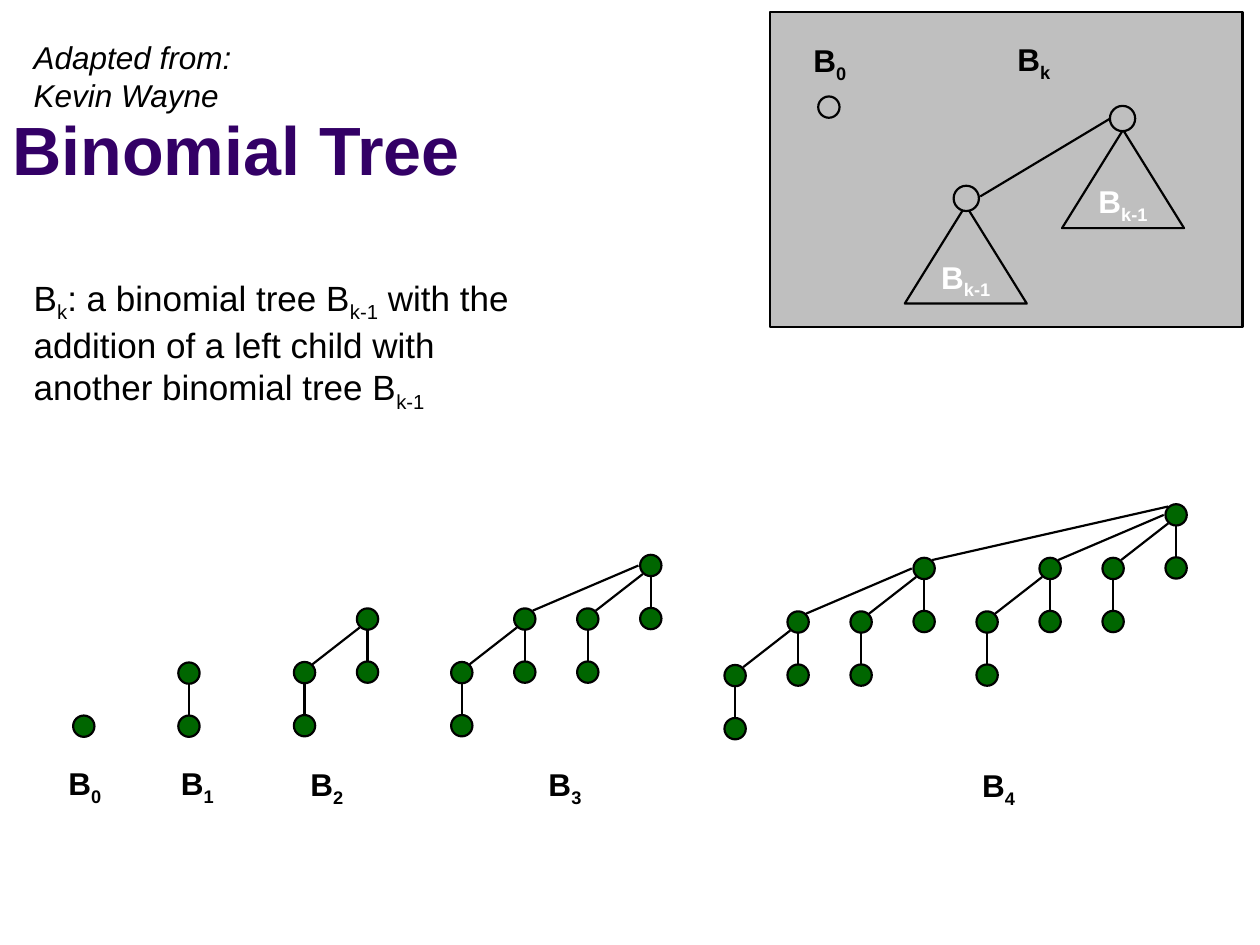
from dataclasses import dataclass
from lxml import etree
from pptx import Presentation
from pptx import util as u
from pptx.dml.color import RGBColor
from pptx.enum import shapes, text
from pptx.oxml.ns import qn


@dataclass(frozen=True)
class Theme:
    font: str = "Arial"
    title: str = "330066"
    ink: str = "000000"
    light: str = "FFFFFF"
    panel: str = "BFBFBF"
    node: str = "006600"
    title_size: int = 39
    body_size: int = 20
    label_size: int = 18
    line_width: float = 1.25


THEME = Theme()
TITLE = ["Binomial Tree"]
CREDIT = ["Adapted from: Kevin Wayne"]
DEFINITION = ["B", "k", ": a binomial tree B", "k-1",
              " with the addition of a left child with another binomial tree B", "k-1"]

TREES = [
    {"order": 0, "root": (1.69, 14.64), "label": (1.71, 15.27)},
    {"order": 1, "root": (3.81, 13.57), "label": (3.98, 15.27)},
    {"order": 2, "root": (7.41, 12.48), "label": (6.59, 15.29)},
    {"order": 3, "root": (13.12, 11.4), "label": (11.39, 15.29)},
    {"order": 4, "root": (23.71, 10.38), "label": (20.13, 15.32)},
]
COLUMN_GAP, ROW_GAP, LEAF_DROP, NODE = 1.27, 1.08, 1.07, 0.43
EDGE_ENDS = {1: (-0.16, 0.17), 2: (-0.25, 0), 4: (-0.16, -0.17)}

PANEL = (15.52, 0.25, 9.53, 6.35)
SUBTREES = [(18.24, 4.14), (21.41, 2.62)]
SUBTREE_SIZE = (2.46, 1.98)
PANEL_EDGES = [(19.3, 4.17, 19.48, 4.11), (19.76, 3.96, 22.38, 2.39)]
PANEL_NODES = [(19.48, 4, 0.51), (22.63, 2.39, 0.51), (16.71, 2.16, 0.43)]
PANEL_LABELS = [("0", 16.73, 0.71), ("k", 20.84, 0.69)]
LABEL_SIZE = (1.75, 1.02)

prs = Presentation()
prs.slide_width, prs.slide_height = u.Cm(25.4), u.Cm(19.05)
slide = prs.slides.add_slide(prs.slide_layouts[6])


def write(frame, parts, size, color=THEME.ink, bold=False, italic=False, centred=False):
    line = frame.paragraphs[0]
    line.alignment = text.PP_ALIGN.CENTER if centred else text.PP_ALIGN.LEFT
    font = line.font
    font.name, font.size, font.bold, font.italic = THEME.font, u.Pt(size), bold, italic
    font.color.rgb = RGBColor.from_string(color)
    for index, part in enumerate(parts):
        run = line.add_run()
        run.text = part
        if index % 2:
            run._r.get_or_add_rPr().set("baseline", "-25000")


def add_text(box, parts, size, anchor=text.MSO_ANCHOR.TOP, **style):
    frame = slide.shapes.add_textbox(*map(u.Cm, box)).text_frame
    frame.word_wrap = True
    frame.vertical_anchor = anchor
    write(frame, parts, size, **style)


def add_label(subscript, centre, top):
    width, height = LABEL_SIZE
    add_text((centre - width / 2, top, width, height), ["B", subscript],
             THEME.label_size, bold=True, centred=True)


def add_outline(kind, box, fill):
    outline = slide.shapes.add_shape(kind, *map(u.Cm, box))
    outline.shadow.inherit = False
    outline.fill.solid()
    outline.fill.fore_color.rgb = RGBColor.from_string(fill)
    outline.line.color.rgb = RGBColor.from_string(THEME.ink)
    outline.line.width = u.Pt(THEME.line_width)
    return outline


def add_node(x, y, size=NODE, fill=THEME.node):
    add_outline(shapes.MSO_SHAPE.OVAL, (x - size / 2, y - size / 2, size, size), fill)


def add_edge(*ends):
    edge = slide.shapes.add_connector(shapes.MSO_CONNECTOR.STRAIGHT, *map(u.Cm, ends))
    edge.line.color.rgb = RGBColor.from_string(THEME.ink)
    edge.line.width = u.Pt(THEME.line_width)
    etree.SubElement(edge._element.spPr, qn("a:effectLst"))


def add_tree(order, root, label):
    add_label(str(order), *label)
    if order == 0:
        add_node(*root)
        return
    x, y = root
    columns = [(x - COLUMN_GAP * j, y + ROW_GAP * bin(j).count("1"))
               for j in range(2 ** (order - 1))]
    for j, (cx, cy) in enumerate(columns):
        add_node(cx, cy)
        add_node(cx, cy + LEAF_DROP)
        add_edge(cx, cy + LEAF_DROP - NODE / 2, cx, cy + NODE / 2)
        if j:
            parent = j & (j - 1)
            px, py = columns[parent]
            dx, dy = EDGE_ENDS[j - parent]
            add_edge(cx + 0.16, cy - 0.17, px + dx, py + dy)


add_text((0, 0.33, 20.96, 3.61), TITLE, THEME.title_size,
         anchor=text.MSO_ANCHOR.BOTTOM, color=THEME.title, bold=True)

add_outline(shapes.MSO_SHAPE.RECTANGLE, PANEL, THEME.panel)
for corner in SUBTREES:
    subtree = add_outline(shapes.MSO_SHAPE.ISOSCELES_TRIANGLE, corner + SUBTREE_SIZE, THEME.panel)
    subtree.text_frame.word_wrap = False
    subtree.text_frame.vertical_anchor = text.MSO_ANCHOR.MIDDLE
    write(subtree.text_frame, ["B", "k-1"], THEME.label_size,
          color=THEME.light, bold=True, centred=True)
for ends in PANEL_EDGES:
    add_edge(*ends)
for x, y, size in PANEL_NODES:
    add_node(x, y, size, THEME.panel)
for panel_label in PANEL_LABELS:
    add_label(*panel_label)

for tree in TREES:
    add_tree(**tree)

add_text((0.43, 0.64, 4.65, 1.8), CREDIT, THEME.label_size, italic=True)
add_text((0.43, 5.44, 10.59, 2.82), DEFINITION, THEME.body_size)

prs.save("out.pptx")
